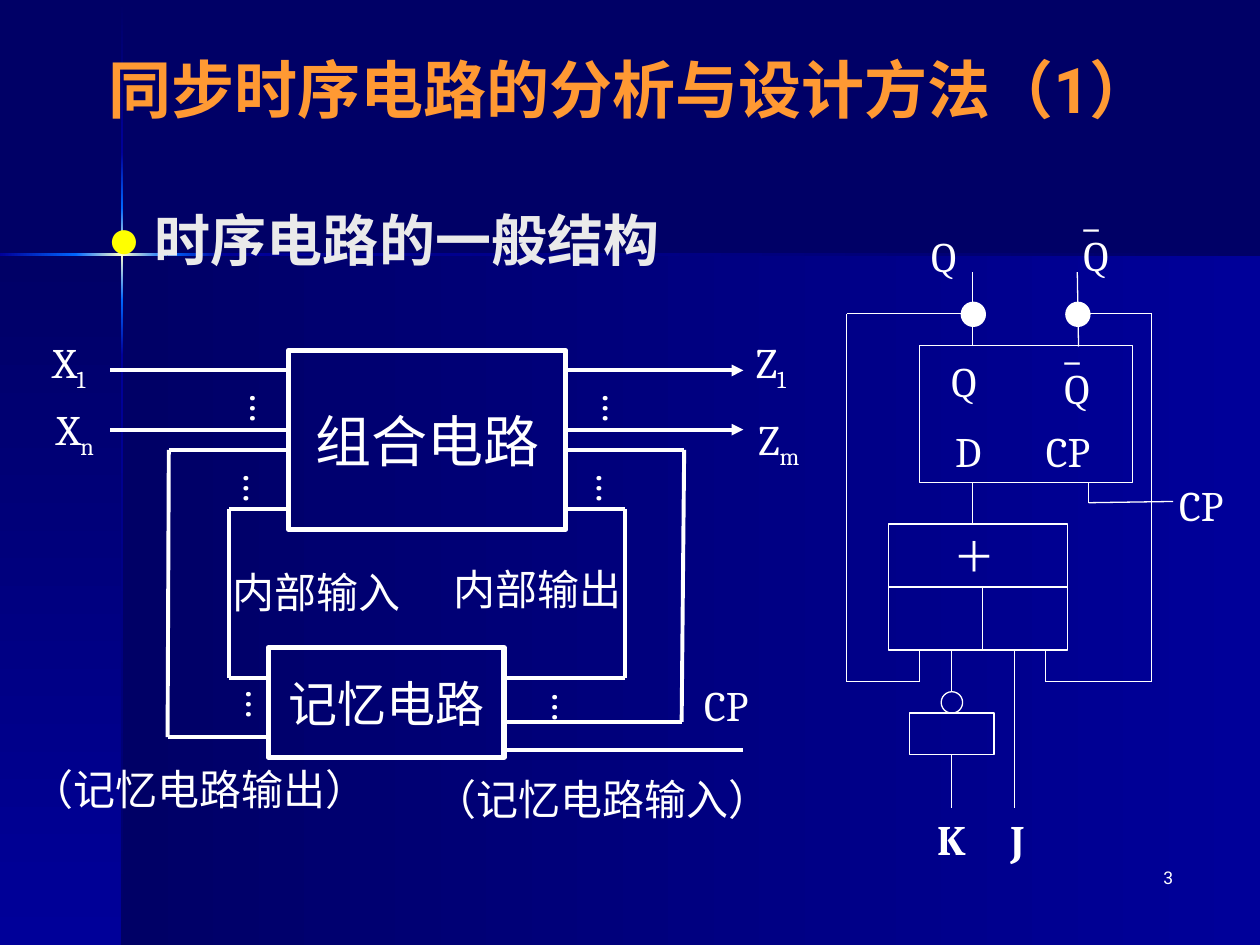
import copy
import lxml.etree
import pptx
import pptx.dml.color
import pptx.enum.shapes
import pptx.enum.text
import pptx.oxml.ns
import pptx.util

INCH = pptx.util.Inches
POINT = pptx.util.Pt
QN = pptx.oxml.ns.qn
KIND = pptx.enum.shapes.MSO_SHAPE
ALIGN = pptx.enum.text.PP_ALIGN
MIDDLE = pptx.enum.text.MSO_ANCHOR.MIDDLE
HUES = {"night": "000066", "navy": "000099", "blue": "0066FF", "cream": "FFFFCC",
        "white": "FFFFFF", "gray": "EAEAEA", "gold": "FF9933", "sun": "FFFF00"}


class Board:
    """Hold the text style and the current slide, and draw elements on it."""

    def __init__(self, slide):
        self.slide = slide
        self.shapes = slide.shapes
        self.style = {"name": "Cambria", "size": POINT(24), "bold": False}

    def color(self, hue):
        return pptx.dml.color.RGBColor.from_string(HUES[hue])

    def place(self, shape, box):
        for name, value in zip(("left", "top", "width", "height"), box):
            setattr(shape, name, INCH(value))

    def letter(self, para, text, hue="white", **form):
        run = para.add_run()
        run.text = text
        for name, value in {**self.style, **form}.items():
            setattr(run.font, name, value)
        run.font.color.rgb = self.color(hue)
        return run

    def frame(self, shape, **form):
        base = {"word_wrap": False, "auto_size": pptx.enum.text.MSO_AUTO_SIZE.NONE}
        for name, value in {**base, **form}.items():
            setattr(shape.text_frame, name, value)
        return shape.text_frame

    def panel(self, box, hues, down=False):
        shape = self.shapes.add_shape(KIND.RECTANGLE, *map(INCH, box))
        shape.shadow.inherit = False
        shape.line.fill.background()
        shape.fill.gradient()
        shape.fill.gradient_angle = 270 if down else 0
        stops = shape.fill.gradient_stops
        for stop, hue in zip(stops, (hues[0], hues[-1])):
            stop.color.rgb = self.color(hue)
        if len(hues) == 3:
            first = shape.element.find(".//" + QN("a:gs"))
            mid = copy.deepcopy(first)
            mid.set("pos", "50000")
            mid[0].set("val", HUES[hues[1]])
            first.addnext(mid)

    def holder(self, index, box, text, hue, align, **form):
        shape = self.slide.placeholders[index]
        self.shapes.element.append(shape.element)
        self.place(shape, box)
        para = self.frame(shape, word_wrap=True).paragraphs[0]
        para.alignment = align
        if index:
            props = para._p.get_or_add_pPr()
            props.set("marL", str(INCH(0.38)))
            props.set("indent", str(-INCH(0.38)))
            tint = lxml.etree.SubElement(props, QN("a:buClr"))
            lxml.etree.SubElement(tint, QN("a:srgbClr"), val=HUES["sun"])
            lxml.etree.SubElement(props, QN("a:buChar"), char="●")
            para.space_before = POINT(0)
        else:
            shape.text_frame.vertical_anchor = MIDDLE
        self.letter(para, text, hue, **form)

    def label(self, box, text, sub="", inset=(0.1, 0.05), pitch=None,
              upright=False, align=ALIGN.LEFT, **form):
        shape = self.shapes.add_textbox(*map(INCH, box))
        wide, high = map(INCH, inset)
        frame = self.frame(shape, margin_left=wide, margin_right=wide,
                           margin_top=high, margin_bottom=high)
        if upright:
            frame._txBody.bodyPr.set("vert", "eaVert")
        for count, part in enumerate(text.split("\n")):
            para = frame.add_paragraph() if count else frame.paragraphs[0]
            para.alignment = align
            para.line_spacing = pitch
            self.letter(para, part, **form)
        if sub:
            run = self.letter(para, sub, **form)
            run._r.get_or_add_rPr().set("baseline", "-25000")

    def shape(self, box, weight=0.75, kind=KIND.RECTANGLE, fill=None, text="", size=24):
        shape = self.shapes.add_shape(kind, *map(INCH, box))
        shape.shadow.inherit = False
        if fill:
            shape.fill.solid()
            shape.fill.fore_color.rgb = self.color(fill)
        else:
            shape.fill.background()
        shape.line.color.rgb = self.color("white")
        shape.line.width = POINT(weight)
        if text:
            para = self.frame(shape, vertical_anchor=MIDDLE).paragraphs[0]
            para.alignment = ALIGN.CENTER
            self.letter(para, text, size=POINT(size))

    def wire(self, *points, weight=0.75, arrow=False):
        for start, end in zip(points, points[1:]):
            line = self.shapes.add_connector(pptx.enum.shapes.MSO_CONNECTOR.STRAIGHT,
                                             *map(INCH, start + end))
            line.line.color.rgb = self.color("white")
            line.line.width = POINT(weight)
            if arrow:
                lxml.etree.SubElement(line.line._get_or_add_ln(), QN("a:tailEnd"),
                                      type="triangle")
            lxml.etree.SubElement(line.element.spPr, QN("a:effectLst"))


def ground(board):
    """Draw the shaded panels and the glowing cross."""
    fade, rise = ("night", "navy"), ("navy", "blue")
    glow = ("blue", "cream", "blue")
    board.panel((0.97, 2.02, 9.03, 5.48), fade)
    board.panel((0, 2.02, 0.97, 5.48), fade, True)
    for top, high, hues in ((0.01, 1.2, fade), (2.82, 4.68, fade[::-1]),
                            (2.38, 0.44, rise[::-1]), (1.21, 0.44, rise),
                            (1.65, 0.73, glow)):
        board.panel((0.96, top, 0.02, high), hues, True)
    for left, wide, hues in ((1.77, 8.23, fade[::-1]), (0, 0.61, rise),
                             (1.33, 0.44, rise[::-1]), (0.6, 0.73, glow)):
        board.panel((left, 2.01, wide, 0.02), hues)


def model(board):
    """Draw the general structure on the left."""
    board.shape((2.29, 2.78, 2.2, 1.42), 3, text="组合电路", size=32)
    board.shape((2.13, 5.14, 1.87, 0.87), 3, text="记忆电路", size=28)
    for path in (((4.48, 4.04), (4.96, 4.04), (4.96, 5.38), (4.01, 5.38)),
                 ((2.28, 4.04), (1.82, 4.04), (1.82, 5.38), (2.13, 5.38)),
                 ((4.48, 3.57), (5.43, 3.57), (5.41, 5.73), (3.98, 5.73)),
                 ((2.29, 3.57), (1.34, 3.57), (1.33, 5.85), (2.11, 5.85)),
                 ((3.98, 5.95), (5.9, 5.95))):
        board.wire(*path, weight=2.25)
    for y in (2.94, 3.41):
        board.wire((2.29, y), (0.87, y), weight=2.25)
        board.wire((4.49, y), (5.9, y), weight=2.25, arrow=True)
    for x, y in ((1.74, 5.36), (1.72, 3.64), (4.52, 3.64), (4.17, 5.38),
                 (4.57, 3.01), (1.77, 3.01)):
        board.label((x, y, 0.6, 0.39), "…", inset=(0.05, 0.1), upright=True)
    for x, y, wide, text in ((1.75, 4.45, 1.53, "内部输入"), (3.5, 4.42, 1.53, "内部输出"),
                             (0.15, 6.01, 2.86, "（记忆电路输出）"),
                             (3.35, 6.09, 2.86, "（记忆电路输入）"), (5.49, 5.34, 0.6, "CP")):
        board.label((x, y, wide, 0.5), text)
    for x, y, text, sub in ((0.32, 2.62, "X", "1"), (0.35, 3.15, "X", "n"),
                            (5.9, 2.62, "Z", "1"), (5.92, 3.23, "Z", "m")):
        board.label((x, y, 0.54, 0.56), text, sub)


def latch(board):
    """Draw the flip-flop circuit on the right."""
    for box in ((7.3, 2.74, 1.69, 1.09), (7.05, 4.16, 1.42, 0.5),
                (7.05, 4.66, 1.42, 0.5), (7.22, 5.66, 0.67, 0.33)):
        board.shape(box)
    for path in (((7.72, 2.74), (7.72, 2.16)), ((8.56, 2.75), (8.55, 2.16)),
                 ((8.64, 3.83), (8.64, 3.99), (9.31, 3.98)),
                 ((7.72, 3.83), (7.72, 4.16)), ((7.8, 4.66), (7.8, 5.16)),
                 ((8.05, 5.16), (8.05, 6.41)), ((7.55, 5.16), (7.55, 5.49)),
                 ((7.55, 5.99), (7.55, 6.41)),
                 ((8.55, 2.49), (9.14, 2.49), (9.14, 5.41), (8.3, 5.41), (8.3, 5.16)),
                 ((7.72, 2.49), (6.72, 2.49), (6.72, 5.41), (7.3, 5.41), (7.3, 5.16))):
        board.wire(*path)
    board.shape((7.47, 5.49, 0.17, 0.17), kind=KIND.OVAL)
    for x in (7.64, 8.47):
        board.shape((x, 2.41, 0.17, 0.17), 2.25, KIND.OVAL, "white")
    for x, y, wide, text in ((7.58, 3.38, 0.22, "D"), (8.3, 3.38, 0.4, "CP"),
                             (7.55, 2.82, 0.25, "Q"), (7.39, 1.83, 0.25, "Q")):
        board.label((x, y, wide, 0.4), text, inset=(0, 0))
    for x, y in ((8.35, 2.53), (8.5, 1.48)):
        board.label((x, y, 0.44, 0.8), "_\nQ", pitch=POINT(25))
    board.label((9.26, 3.76, 0.6, 0.5), "CP")
    board.label((7.47, 4.16, 0.67, 0.5), "＋")
    for x, wide, text in ((7.92, 0.33, "J"), (7.34, 0.44, "K")):
        board.label((x, 6.41, wide, 0.5), text, bold=True)


def main():
    """Build and save the slide."""
    deck = pptx.Presentation()
    deck.slide_width, deck.slide_height = INCH(10), INCH(7.5)
    board = Board(deck.slides.add_slide(deck.slide_layouts[1]))
    back = board.slide.background.fill
    back.solid()
    back.fore_color.rgb = board.color("night")
    ground(board)
    board.holder(1, (0.75, 1.58, 8.67, 5.08), "时序电路的一般结构", "gray",
                 ALIGN.LEFT, size=POINT(32), bold=True)
    board.label((7.33, 6.83, 2.08, 0.5), "3", align=ALIGN.RIGHT,
                name="Roboto", size=POINT(10))
    board.holder(0, (0.17, 0.33, 9.67, 0.75), "同步时序电路的分析与设计方法（1）", "gold",
                 ALIGN.CENTER, name="Roboto", size=POINT(36), bold=True)
    model(board)
    latch(board)
    deck.save("out.pptx")


if __name__ == "__main__":
    main()
